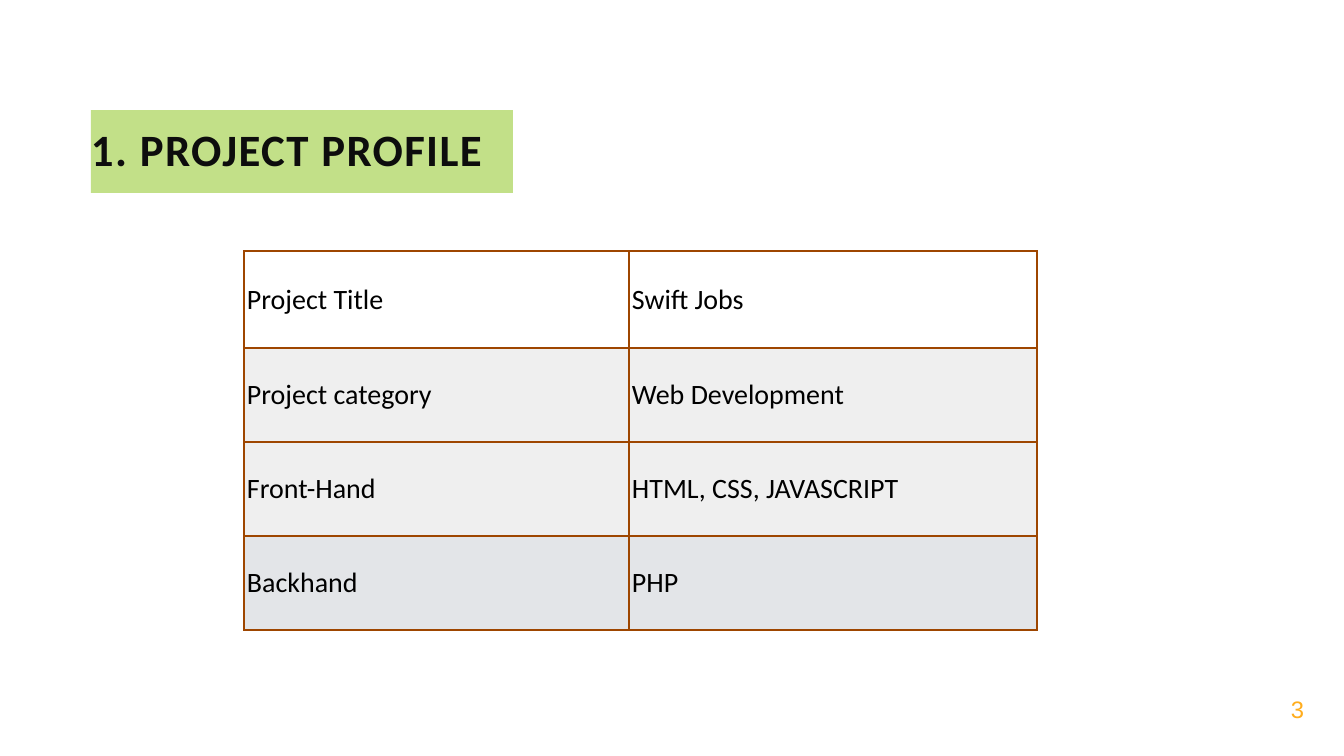
from lxml import etree
from pptx import Presentation
from pptx import util as u
from pptx.dml.color import RGBColor
from pptx.enum import shapes, text
from pptx.oxml import ns

EMU_PER_PX = 18143
BORDER = "9E4600"
THIN, THICK = 2, 4

PROFILE = [
    ("Project Title", "Swift Jobs", "FFFFFF"),
    ("Project category", "Web Development", "EFEFEF"),
    ("Front-Hand", "HTML, CSS, JAVASCRIPT", "EFEFEF"),
    ("Backhand", "PHP", "E3E5E8"),
]


def px(value):
    return u.Emu(value * EMU_PER_PX)


def color(value):
    return RGBColor.from_string(value)


def write(frame, words, *, size, fill, font="Calibri", bold=False,
          tracking=0, line_spacing=None):
    paragraph = frame.paragraphs[0]
    paragraph.alignment = text.PP_ALIGN.LEFT
    if line_spacing:
        paragraph.line_spacing = line_spacing
    run = paragraph.add_run()
    run.text = words
    run.font.name = font
    run.font.size = u.Pt(size)
    run.font.bold = bold
    run.font.color.rgb = color(fill)
    if tracking:
        run.font._element.set("spc", str(tracking * 100))


def set_margins(holder, margin):
    holder.margin_left = holder.margin_right = px(margin)
    holder.margin_top = holder.margin_bottom = px(margin)
    holder.vertical_anchor = text.MSO_ANCHOR.MIDDLE


def add_heading(slide, left, top, width, height):
    heading = slide.shapes.add_shape(
        shapes.MSO_SHAPE.RECTANGLE, px(left), px(top), px(width), px(height))
    heading.shadow.inherit = False
    heading.fill.solid()
    heading.fill.fore_color.rgb = color("C2E088")
    heading.line.fill.background()
    set_margins(heading.text_frame, 0)
    heading.text_frame.word_wrap = True
    write(heading.text_frame, "1. PROJECT PROFILE", size=64, fill="0D0D0D",
          bold=True, tracking=2, line_spacing=0.9)


def add_page_number(slide, left, top, width, height):
    number = slide.shapes.add_textbox(px(left), px(top), px(width), px(height))
    set_margins(number.text_frame, 0)
    number.text_frame.word_wrap = False
    write(number.text_frame, "3", size=34, fill="FFAD1D", font="Arial")


def set_borders(cell, **widths):
    """Draw the sides L, R, T and B with the given widths in points."""
    properties = cell._tc.get_or_add_tcPr()
    for side, width in widths.items():
        line = etree.SubElement(properties, ns.qn(f"a:ln{side}"),
                                w=str(u.Pt(width)))
        solid = etree.SubElement(line, ns.qn("a:solidFill"))
        etree.SubElement(solid, ns.qn("a:srgbClr"), val=BORDER)


def add_profile_table(slide, left, top, column_widths, row_heights):
    table = slide.shapes.add_table(
        len(row_heights), len(column_widths), px(left), px(top),
        px(sum(column_widths)), px(sum(row_heights))).table
    table.first_row = table.horz_banding = False
    for column, width in zip(table.columns, column_widths):
        column.width = px(width)
    for r, (label, value, fill) in enumerate(PROFILE):
        table.rows[r].height = px(row_heights[r])
        for c, words in enumerate((label, value)):
            cell = table.cell(r, c)
            set_margins(cell, 3)
            set_borders(cell,
                        L=THIN if c == 0 else THICK,
                        R=THICK if c == 0 else THIN,
                        T=THIN if r == 0 else THICK,
                        B=THICK)
            cell.fill.solid()
            cell.fill.fore_color.rgb = color(fill)
            write(cell.text_frame, words, size=40, fill="000000")


def main():
    deck = Presentation()
    deck.slide_width, deck.slide_height = px(1344), px(756)
    slide = deck.slides.add_slide(deck.slide_layouts[6])
    slide.background.fill.solid()
    slide.background.fill.fore_color.rgb = color("FFFFFF")
    add_heading(slide, 91, 110, 422, 83)
    add_page_number(slide, 1291, 694, 14, 29)
    add_profile_table(slide, 244, 251, [385, 408], [97, 94, 94, 94])
    deck.save("out.pptx")


if __name__ == "__main__":
    main()
